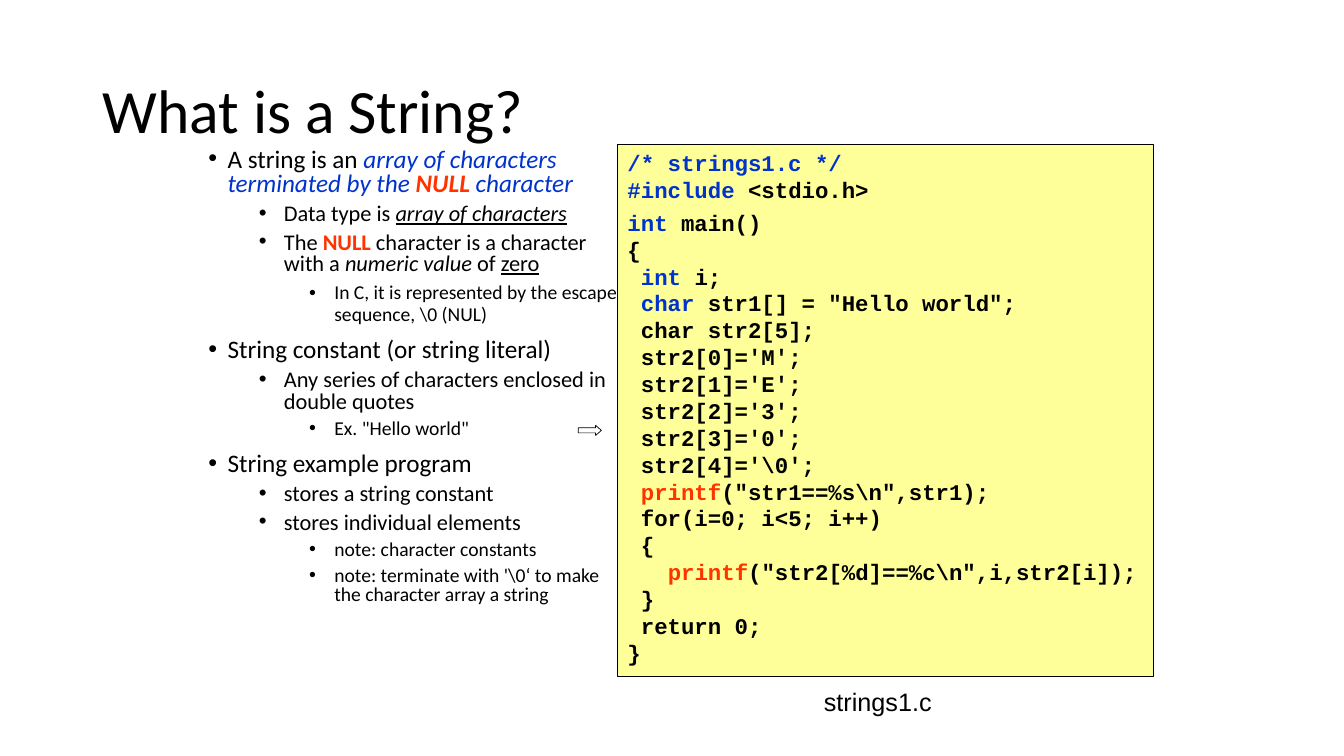
"""Build the slide "What is a String?" with an outline and a C listing."""
import pptx
import pptx.dml.color
import pptx.enum.shapes
import pptx.enum.text
import pptx.oxml
import pptx.oxml.ns
import pptx.util
from pptx.util import Inches

THEME = {
    "black": "000000", "blue": "0033CC", "red": "FF3300", "paper": "FFFF99",
    "body font": "Calibri", "code font": "Courier New", "caption font": "Arial",
    "title size": 44, "code size": 16, "code leading": 19.2, "code gap": 4.4,
    "caption size": 18,
}

LEVELS = [
    {"size": 18, "margin": 0.19, "hanging": 0.19, "before": 10},
    {"size": 16, "margin": 0.75, "hanging": 0.25, "before": 5},
    {"size": 14, "margin": 1.25, "hanging": 0.25, "before": 5},
]

TITLE = "What is a String?"
CAPTION = "strings1.c"

OUTLINE = [
    (0, 0.8, [("A string is an ", ""), ("array of characters terminated by the ", "blue italic"),
              ("NULL ", "red bold italic"), ("character", "blue italic")]),
    (1, 0.8, [("Data type is ", ""), ("array of characters", "italic underline")]),
    (1, 0.8, [("The ", ""), ("NULL ", "red bold"), ("character is a character with a ", ""),
              ("numeric value ", "italic"), ("of ", ""), ("zero", "underline")]),
    (2, 0.9, [("In C, it is represented by the escape sequence, \\0 (NUL)", "")]),
    (0, 0.8, [("String constant (or string literal)", "")]),
    (1, 0.8, [("Any series of characters enclosed in double quotes", "")]),
    (2, 0.8, [("Ex. \"Hello world\"", "")]),
    (0, 0.8, [("String example program", "")]),
    (1, 0.8, [("stores a string constant", "")]),
    (1, 0.8, [("stores individual elements", "")]),
    (2, 0.8, [("note: character constants", "")]),
    (2, 0.8, [("note: terminate with '\\0‘ to make the character array a string", "")]),
]

CODE = [
    (0, [("/* strings1.c */", "blue")]),
    (0, [("#include ", "blue"), ("<stdio.h>", "")]),
    (0, [("int", "blue"), (" main()", "")]),
    (0, [("{", "")]),
    (1, [("int", "blue"), (" i;", "")]),
    (1, [("char", "blue"), (" str1[] = \"Hello world\";", "")]),
    (1, [("char str2[5];", "")]),
    (1, [("str2[0]='M';", "")]),
    (1, [("str2[1]='E';", "")]),
    (1, [("str2[2]='3';", "")]),
    (1, [("str2[3]='0';", "")]),
    (1, [("str2[4]='\\0';", "")]),
    (1, [("printf", "red"), ("(\"str1==%s\\n\",str1);", "")]),
    (1, [("for(i=0; i<5; i++)", "")]),
    (1, [("{", "")]),
    (3, [("printf", "red"), ("(\"str2[%d]==%c\\n\",i,str2[i]);", "")]),
    (1, [("}", "")]),
    (1, [("return 0;", "")]),
    (0, [("}", "")]),
]
MAIN_LINE = 2
CHARACTER_WIDTH = 0.6 * THEME["code size"] / 72


def color(name):
    return pptx.dml.color.RGBColor.from_string(THEME[name])


def set_font(paragraph, font, size):
    paragraph.font.name = THEME[font]
    paragraph.font.size = pptx.util.Pt(size)
    paragraph.font.color.rgb = color("black")


def add_runs(paragraph, runs):
    for text, style in runs:
        run = paragraph.add_run()
        run.text = text
        for word in style.split():
            if word in THEME:
                run.font.color.rgb = color(word)
            else:
                setattr(run.font, word, True)


def set_indent(paragraph, margin, hanging=0):
    properties = paragraph._p.get_or_add_pPr()
    properties.set("marL", str(Inches(margin)))
    properties.set("indent", str(-Inches(hanging)))
    return properties


def add_bullet(properties):
    namespace = pptx.oxml.ns.nsdecls("a")
    for xml in (f'<a:buClr {namespace}><a:srgbClr val="{THEME["black"]}"/></a:buClr>',
                f'<a:buFont {namespace} typeface="Arial"/>',
                f'<a:buChar {namespace} char="•"/>'):
        properties.append(pptx.oxml.parse_xml(xml))


def next_paragraph(frame, index):
    return frame.add_paragraph() if index else frame.paragraphs[0]


def add_text(slide, left, top, width, height, wrap=True):
    frame = slide.shapes.add_textbox(Inches(left), Inches(top), Inches(width), Inches(height)).text_frame
    frame.word_wrap = wrap
    return frame


def add_outlined_shape(slide, kind, left, top, width, height, line_width):
    shape = slide.shapes.add_shape(kind, Inches(left), Inches(top), Inches(width), Inches(height))
    shape.shadow.inherit = False
    shape.fill.background()
    shape.line.color.rgb = color("black")
    shape.line.width = pptx.util.Pt(line_width)
    return shape


def add_title(slide):
    frame = add_text(slide, 0.92, 0.4, 11.5, 1.45)
    frame.vertical_anchor = pptx.enum.text.MSO_ANCHOR.MIDDLE
    paragraph = frame.paragraphs[0]
    paragraph.text = TITLE
    paragraph.line_spacing = 0.9
    set_font(paragraph, "body font", THEME["title size"])


def add_outline(slide):
    frame = add_text(slide, 1.97, 1.43, 4.28, 5.74)
    for index, (depth, spacing, runs) in enumerate(OUTLINE):
        level = LEVELS[depth]
        paragraph = next_paragraph(frame, index)
        paragraph.level = depth
        paragraph.line_spacing = spacing
        paragraph.space_before = pptx.util.Pt(level["before"])
        set_font(paragraph, "body font", level["size"])
        add_bullet(set_indent(paragraph, level["margin"], level["hanging"]))
        add_runs(paragraph, runs)


def add_code(slide):
    panel = add_outlined_shape(slide, pptx.enum.shapes.MSO_SHAPE.RECTANGLE, 6.13, 1.43, 5.32, 5.28, 0.75)
    panel.fill.solid()
    panel.fill.fore_color.rgb = color("paper")
    frame = panel.text_frame
    frame.word_wrap = True
    frame.vertical_anchor = pptx.enum.text.MSO_ANCHOR.TOP
    for index, (indent, runs) in enumerate(CODE):
        paragraph = next_paragraph(frame, index)
        paragraph.alignment = pptx.enum.text.PP_ALIGN.LEFT
        paragraph.line_spacing = pptx.util.Pt(THEME["code leading"])
        if index == MAIN_LINE:
            paragraph.space_before = pptx.util.Pt(THEME["code gap"])
        set_font(paragraph, "code font", THEME["code size"])
        paragraph.font.bold = True
        set_indent(paragraph, indent * CHARACTER_WIDTH)
        add_runs(paragraph, runs)


def add_caption(slide):
    paragraph = add_text(slide, 8.08, 6.76, 1.27, 0.4, wrap=False).paragraphs[0]
    paragraph.text = CAPTION
    set_font(paragraph, "caption font", THEME["caption size"])


def main():
    presentation = pptx.Presentation()
    presentation.slide_width = Inches(13.34)
    presentation.slide_height = Inches(7.5)
    slide = presentation.slides.add_slide(presentation.slide_layouts[6])
    arrow = add_outlined_shape(slide, pptx.enum.shapes.MSO_SHAPE.RIGHT_ARROW, 5.74, 4.22, 0.23, 0.1, 0.5)
    arrow.adjustments[1] = 0.58
    add_title(slide)
    add_outline(slide)
    add_code(slide)
    add_caption(slide)
    presentation.save("out.pptx")


if __name__ == "__main__":
    main()
